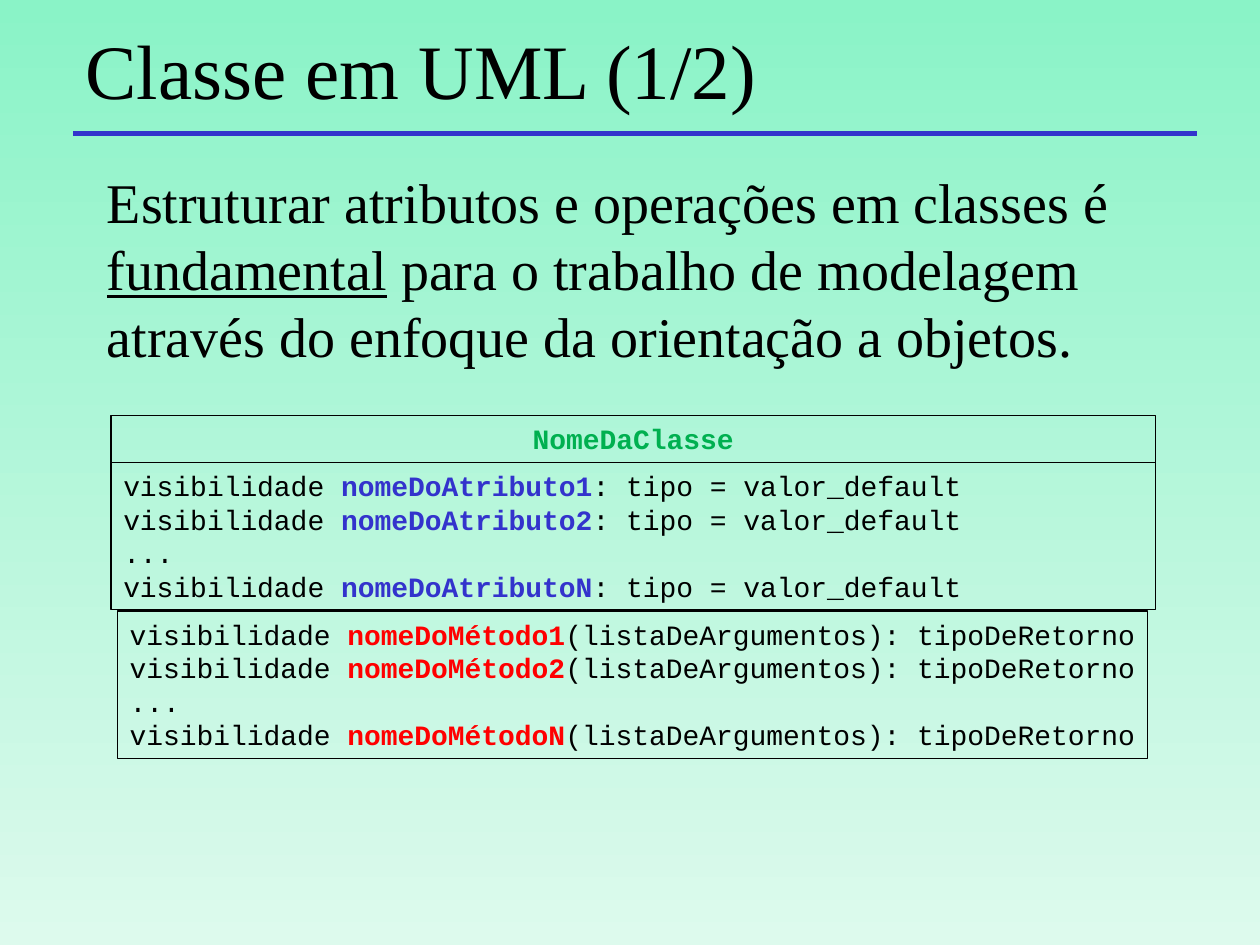
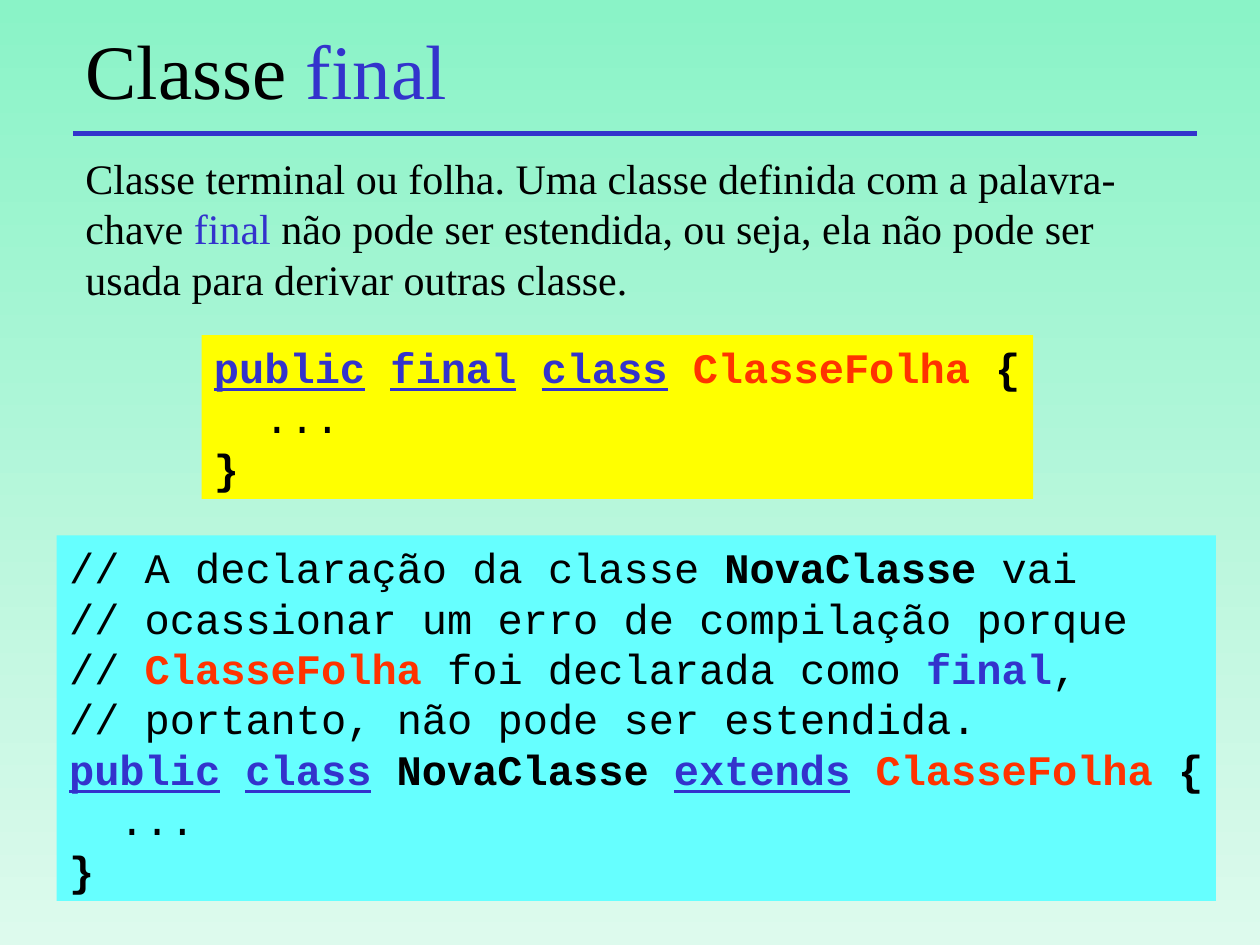
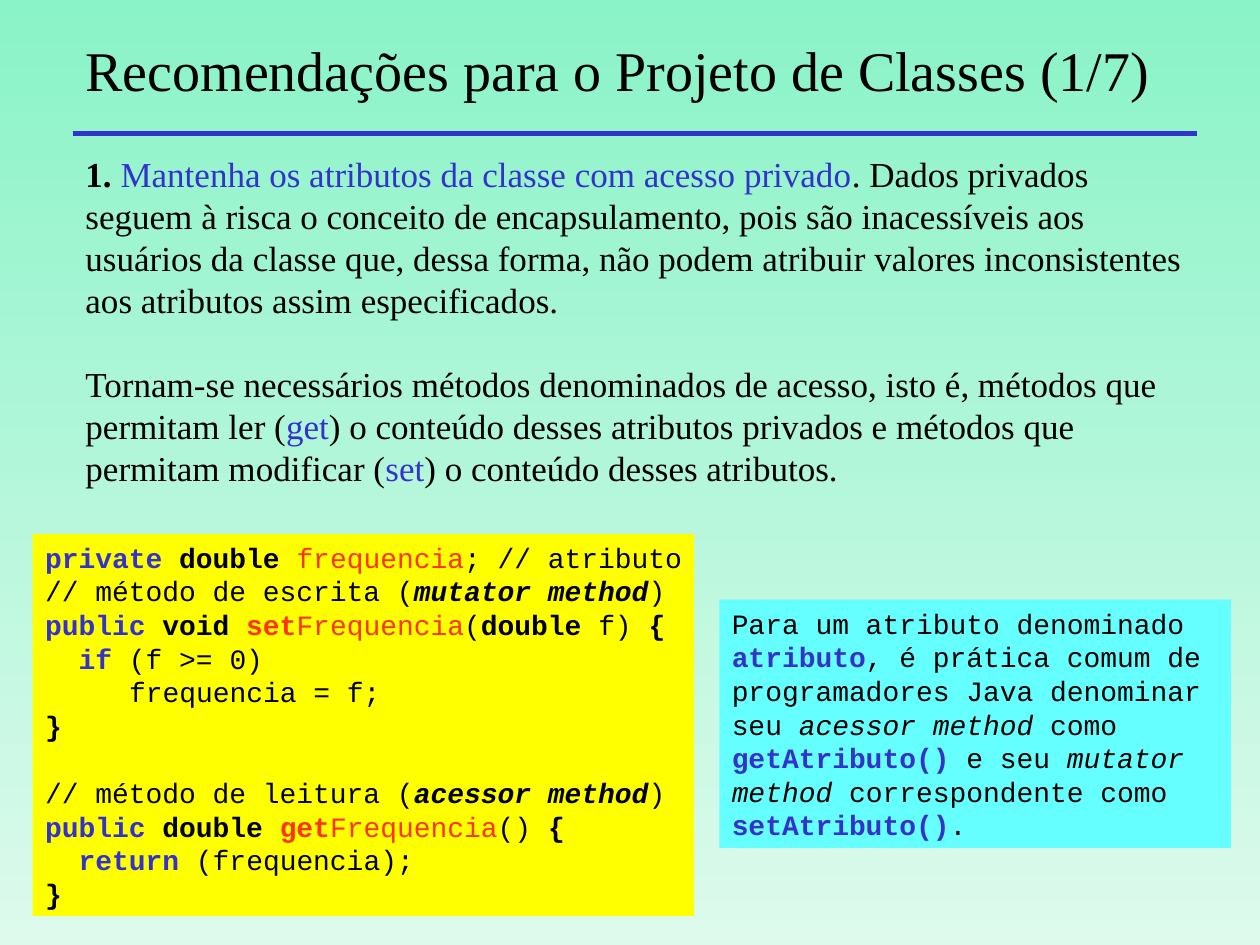
import pptx
import pptx.dml.color
import pptx.enum.shapes
import pptx.enum.text
import pptx.oxml
import pptx.util

Inches = pptx.util.Inches
Pt = pptx.util.Pt
RGBColor = pptx.dml.color.RGBColor
Align = pptx.enum.text.PP_ALIGN
Anchor = pptx.enum.text.MSO_ANCHOR

BLACK = RGBColor(0x00, 0x00, 0x00)
BLUE = RGBColor(0x33, 0x33, 0xCC)
GREEN = RGBColor(0x00, 0xB0, 0x50)
RED = RGBColor(0xFF, 0x00, 0x00)
ORANGE = RGBColor(0xFF, 0x33, 0x00)
YELLOW = RGBColor(0xFF, 0xFF, 0x00)
CYAN = RGBColor(0x66, 0xFF, 0xFF)
BACKGROUND = (RGBColor(0x8A, 0xF3, 0xC7), RGBColor(0xDD, 0xFA, 0xED))

SERIF = "Times New Roman"
MONO = "Courier New"
LINE_HEIGHT = 1.2
MONO_ADVANCE = 0.6


def styled(text, color=BLACK, bold=False, italic=False, underline=False):
    return text, color, bold, italic, underline


def line(*runs, indent=0, gap=0):
    runs = [styled(run) if isinstance(run, str) else run for run in runs]
    return runs, indent, gap


def bold(text, color=BLACK):
    return styled(text, color=color, bold=True)


def keyword(text):
    return styled(text, color=BLUE, bold=True, underline=True)


def emphasis(text):
    return styled(text, italic=True)


class Deck:
    """Holds the shared style and the slide being built."""

    def __init__(self):
        self.presentation = pptx.Presentation()
        self.presentation.slide_width = Inches(10)
        self.presentation.slide_height = Inches(7.5)
        self.slide = None

    def add_slide(self, *title, size=44):
        self.slide = self.presentation.slides.add_slide(self.presentation.slide_layouts[6])
        fill = self.slide.background.fill
        fill.gradient()
        fill.gradient_angle = 270
        for stop, color in zip(fill.gradient_stops, BACKGROUND):
            stop.color.rgb = color
        self.add_rule()
        self.add_text((0.58, 0.17, 8.83, 0.75), [line(*title)], size, anchor=Anchor.MIDDLE)

    def add_rule(self):
        rule = self.slide.shapes.add_connector(
            pptx.enum.shapes.MSO_CONNECTOR.STRAIGHT,
            Inches(0.58), Inches(1.06), Inches(9.5), Inches(1.06))
        rule.line.color.rgb = BLUE
        rule.line.width = Pt(3)
        properties = rule._element.spPr
        properties.append(pptx.oxml.parse_xml(
            '<a:effectLst xmlns:a="http://schemas.openxmlformats.org/drawingml/2006/main"/>'))

    def add_text(self, box, lines, size, anchor=Anchor.TOP):
        shape = self.slide.shapes.add_textbox(*map(Inches, box))
        self.fill_text(shape, lines, size, SERIF, anchor=anchor)

    def add_code(self, box, lines, size, fill=None, align=Align.LEFT):
        shape = self.slide.shapes.add_shape(
            pptx.enum.shapes.MSO_SHAPE.RECTANGLE, *map(Inches, box))
        shape.shadow.inherit = False
        if fill is None:
            shape.fill.background()
            shape.line.color.rgb = BLACK
            shape.line.width = Pt(0.75)
        else:
            shape.fill.solid()
            shape.fill.fore_color.rgb = fill
            shape.line.fill.background()
        self.fill_text(shape, lines, size, MONO, align=align,
                       anchor=Anchor.MIDDLE if fill else Anchor.TOP)
        if align == Align.LEFT:
            shape.text_frame.margin_right = 0

    def fill_text(self, shape, lines, size, font, align=Align.LEFT, anchor=Anchor.TOP):
        frame = shape.text_frame
        frame.word_wrap = True
        frame.vertical_anchor = anchor
        for index, (runs, indent, gap) in enumerate(lines):
            paragraph = frame.add_paragraph() if index else frame.paragraphs[0]
            paragraph.alignment = align
            paragraph.line_spacing = Pt(size * LINE_HEIGHT)
            paragraph.space_before = Pt(gap * size * LINE_HEIGHT)
            if indent:
                paragraph._p.get_or_add_pPr().set(
                    "marL", str(int(Pt(indent * size * MONO_ADVANCE))))
            for text, color, is_bold, italic, underline in runs:
                run = paragraph.add_run()
                run.text = text
                run.font.name = font
                run.font.size = Pt(size)
                run.font.color.rgb = color
                run.font.bold = is_bold
                run.font.italic = italic
                run.font.underline = underline


def members(name, color, ending):
    rows = [line("visibilidade ", bold(f"{name}{suffix}", color), ending) for suffix in "12N"]
    rows.insert(2, line("..."))
    return rows


def build_uml_class(deck):
    deck.add_slide("Classe em UML (1/2)")
    deck.add_code((0.88, 3.3, 8.29, 0.37), [line(bold("NomeDaClasse", GREEN))], 16,
                  align=Align.CENTER)
    deck.add_code((0.88, 3.67, 8.29, 1.17),
                  members("nomeDoAtributo", BLUE, ": tipo = valor_default"), 16)
    deck.add_code((0.93, 4.85, 8.18, 1.17),
                  members("nomeDoMétodo", RED, "(listaDeArgumentos): tipoDeRetorno"), 16)
    deck.add_text((0.75, 1.28, 8.5, 1.61), [line(
        "Estruturar atributos e operações em classes é ",
        styled("fundamental", underline=True),
        " para o trabalho de modelagem através do enfoque da orientação a objetos.")], 32)


def build_final_class(deck):
    final = styled("final", color=BLUE)
    class_body = [line("...", indent=2), line(bold("}"))]
    deck.add_slide("Classe ", final)
    deck.add_text((0.58, 1.16, 8.92, 1.3), [line(
        "Classe terminal ou folha. Uma classe definida com a palavra-chave ", final,
        " não pode ser estendida, ou seja, ela não pode ser usada para derivar outras classe.")],
        24)
    deck.add_code((1.6, 2.66, 6.6, 1.3), [
        line(keyword("public"), " ", keyword("final"), " ", keyword("class"), " ",
             bold("ClasseFolha ", ORANGE), bold("{")),
        *class_body], 24, YELLOW)
    deck.add_code((0.45, 4.25, 9.2, 2.9), [
        line("// A declaração da classe ", bold("NovaClasse"), " vai"),
        line("// ocassionar um erro de compilação porque"),
        line("// ", bold("ClasseFolha", ORANGE), " foi declarada como ",
             bold("final", BLUE), ","),
        line("// portanto, não pode ser estendida."),
        line(keyword("public"), " ", keyword("class"), " ", bold("NovaClasse "),
             keyword("extends"), " ", bold("ClasseFolha ", ORANGE), bold("{")),
        *class_body], 24, CYAN)


def build_recommendations(deck):
    deck.add_slide("Recomendações para o Projeto de Classes (1/7)", size=32)
    deck.add_text((0.58, 1.16, 8.92, 2.77), [
        line(bold("1. "),
             styled("Mantenha os atributos da classe com acesso privado", color=BLUE),
             ". Dados privados seguem à risca o conceito de encapsulamento, pois são "
             "inacessíveis aos usuários da classe que, dessa forma, não podem atribuir "
             "valores inconsistentes aos atributos assim especificados."),
        line("Tornam-se necessários métodos denominados de acesso, isto é, métodos que "
             "permitam ler (", styled("get", color=BLUE),
             ") o conteúdo desses atributos privados e métodos que permitam modificar (",
             styled("set", color=BLUE), ") o conteúdo desses atributos.", gap=1)], 20)
    method_name = styled("Frequencia", color=ORANGE)
    deck.add_code((0.26, 4.24, 5.25, 3.03), [
        line(bold("private ", BLUE), bold("double "), styled("frequencia", color=ORANGE),
             "; // atributo"),
        line("// método de escrita (", styled("mutator method", bold=True, italic=True), ")"),
        line(bold("public ", BLUE), bold("void "), bold("set", ORANGE), method_name, "(",
             bold("double "), "f) ", bold("{")),
        line(bold("if", BLUE), " (f >= 0)", indent=2),
        line("frequencia = f;", indent=5),
        line(bold("}")),
        line("// método de leitura (", styled("acessor method", bold=True, italic=True), ")",
             gap=1),
        line(bold("public ", BLUE), bold("double "), bold("get", ORANGE), method_name, "() ",
             bold("{")),
        line(bold("return", BLUE), " (frequencia);", indent=2),
        line(bold("}"))], 16, YELLOW)
    deck.add_code((5.71, 4.76, 4.06, 1.97), [
        line("Para um atributo denominado"),
        line(bold("atributo", BLUE), ", é prática comum de"),
        line("programadores Java denominar"),
        line("seu ", emphasis("acessor method"), " como"),
        line(bold("getAtributo()", BLUE), " e seu ", emphasis("mutator")),
        line(emphasis("method "), "correspondente como"),
        line(bold("setAtributo()", BLUE), ".")], 16, CYAN)


def main():
    deck = Deck()
    build_uml_class(deck)
    build_final_class(deck)
    build_recommendations(deck)
    deck.presentation.save("out.pptx")


if __name__ == "__main__":
    main()
